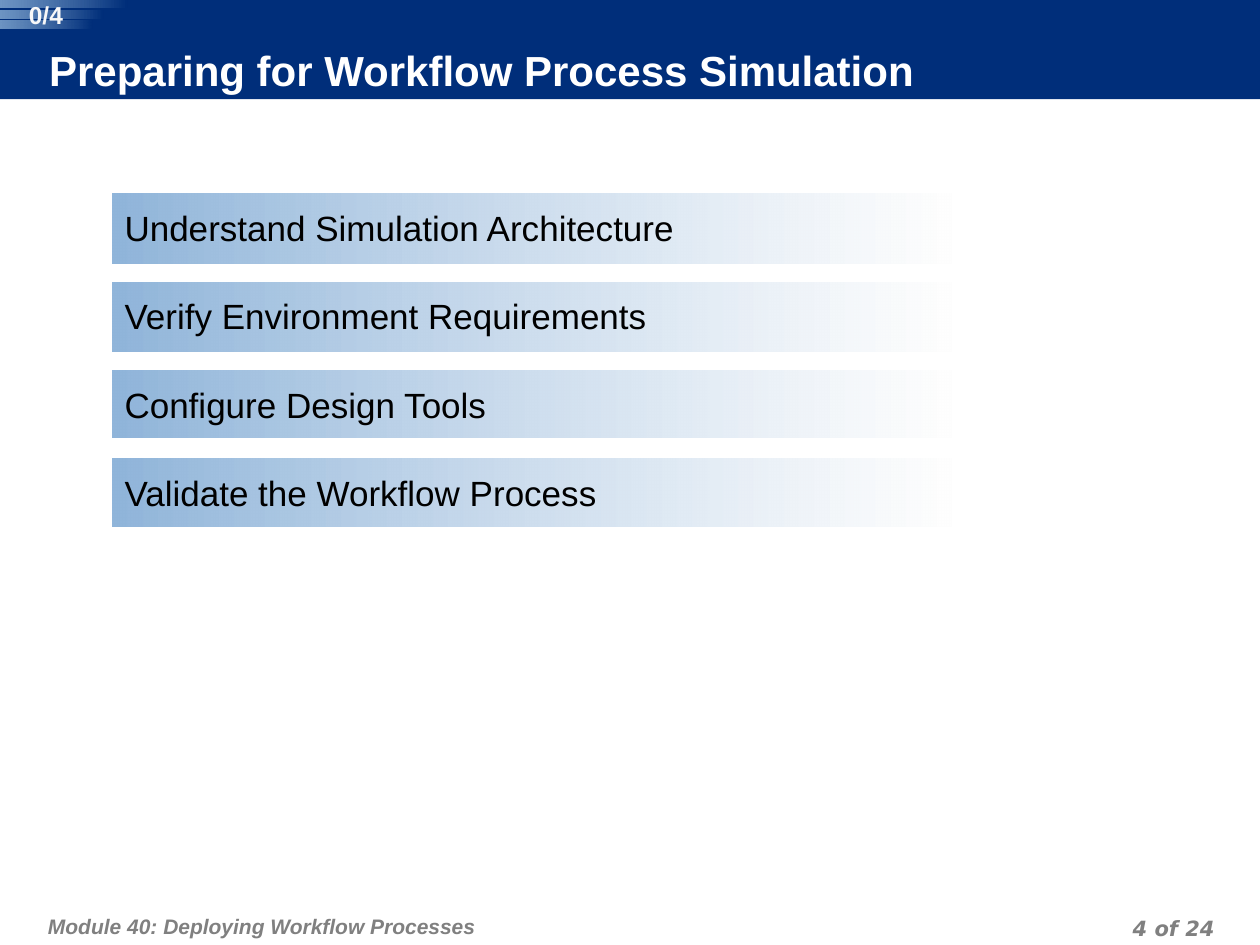
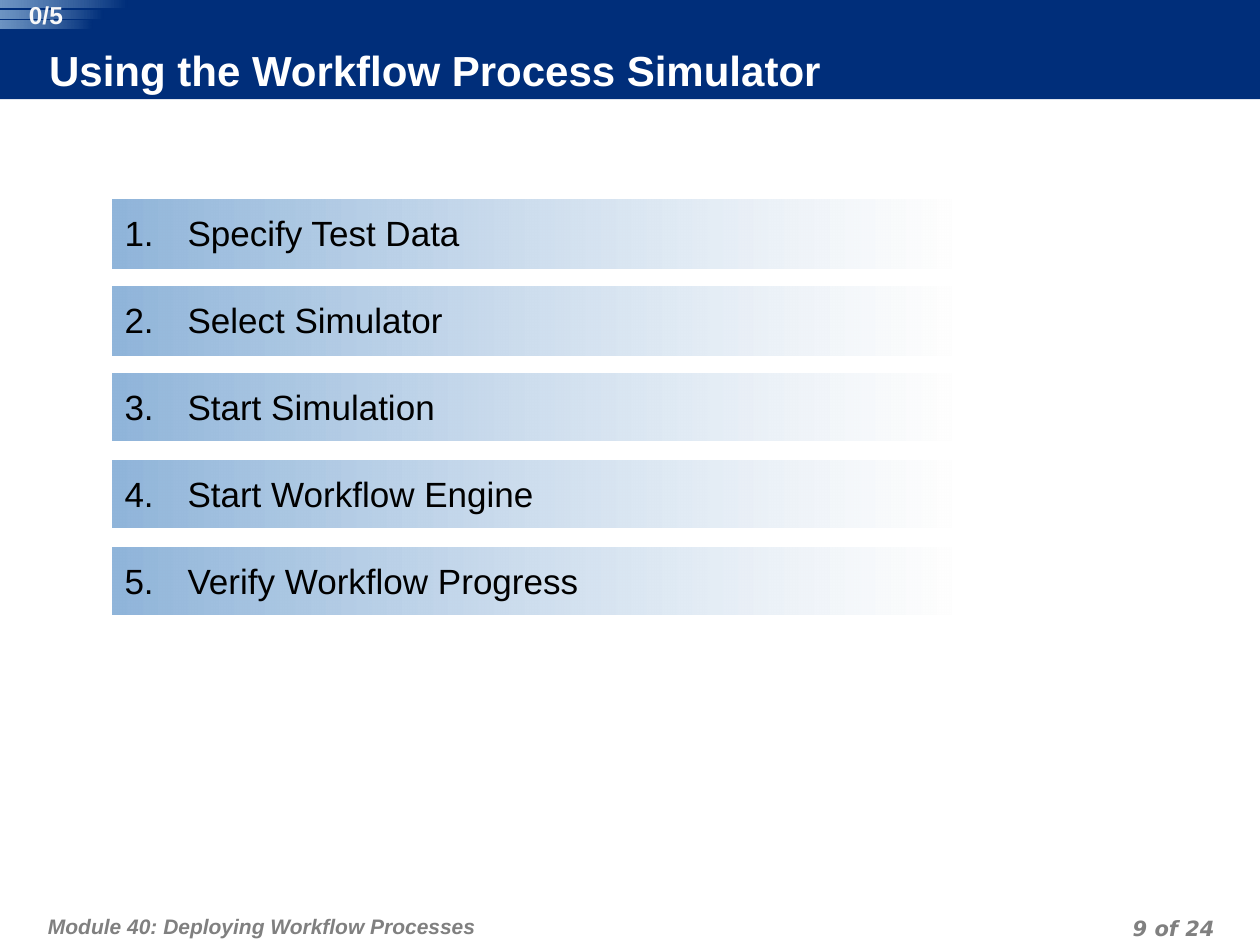
from lxml import etree
from pptx import Presentation
from pptx.dml.color import RGBColor
from pptx.enum.shapes import MSO_SHAPE
from pptx.enum.text import MSO_ANCHOR, PP_ALIGN
from pptx.oxml.ns import qn
from pptx.util import Pt

RECTANGLE = MSO_SHAPE.RECTANGLE
TOP, MIDDLE = MSO_ANCHOR.TOP, MSO_ANCHOR.MIDDLE
LEFT, CENTER, RIGHT = PP_ALIGN.LEFT, PP_ALIGN.CENTER, PP_ALIGN.RIGHT

NAVY = RGBColor(0x00, 0x2E, 0x7A)
SKY = RGBColor(0x90, 0xB5, 0xDA)
PALE = RGBColor(0xFE, 0xFE, 0xFE)
WHITE = RGBColor(0xFF, 0xFF, 0xFF)
OFF_WHITE = RGBColor(0xF8, 0xF8, 0xF8)
GRAY = RGBColor(0x80, 0x80, 0x80)
BLACK = RGBColor(0x00, 0x00, 0x00)

MODULE = "Module 40: Deploying Workflow Processes"
PAGE_COUNT = 24
STRIPES = [(0, 72.7, 4.5), (5.8, 59, 4.5), (11.5, 52.6, 5)]  # top, width, height


class Deck:
    """Holds the shared style and the current slide."""

    font = "Arial"
    number_font = "DejaVu Sans"

    def __init__(self):
        self.presentation = Presentation()
        self.presentation.slide_width = Pt(720)
        self.presentation.slide_height = Pt(540)
        self.slide = None

    def box(self, left, top, width, height, container=None):
        """Add a plain rectangle without line or shadow."""
        shapes = (container or self.slide).shapes
        shape = shapes.add_shape(RECTANGLE, Pt(left), Pt(top), Pt(width), Pt(height))
        shape.line.fill.background()
        shape.shadow.inherit = False
        return shape

    def solid(self, shape, color):
        shape.fill.solid()
        shape.fill.fore_color.rgb = color

    def gradient(self, shape, stops):
        """Fade from right to left; each stop is a colour and its opacity in percent."""
        shape.fill.gradient()
        shape.fill.gradient_angle = 180
        for stop, (color, _) in zip(shape.fill.gradient_stops, stops):
            stop.color.rgb = color
        colors = shape.element.spPr.iter(qn("a:srgbClr"))
        for element, (_, opacity) in zip(list(colors), stops):
            if opacity < 100:
                etree.SubElement(element, qn("a:alpha"), val=str(opacity * 1000))

    def set_text(self, shape, text, size, color, insets, align=LEFT, anchor=TOP,
                 bold=False, italic=False, font=None, spacing=None):
        """Put one formatted paragraph into a shape and return the paragraph."""
        frame = shape.text_frame
        frame.text = text
        frame.word_wrap = True
        frame.vertical_anchor = anchor
        (frame.margin_left, frame.margin_top,
         frame.margin_right, frame.margin_bottom) = map(Pt, insets)
        paragraph = frame.paragraphs[0]
        paragraph.alignment = align
        if spacing:
            paragraph.line_spacing = Pt(spacing)
        for run in paragraph.runs:
            run.font.name = font or self.font
            run.font.size = Pt(size)
            run.font.bold = bold
            run.font.italic = italic
            run.font.color.rgb = color
        return paragraph

    def label(self, left, top, width, height, text, size, color, insets,
              container=None, **style):
        shapes = (container or self.slide).shapes
        box = shapes.add_textbox(Pt(left), Pt(top), Pt(width), Pt(height))
        self.set_text(box, text, size, color, insets, **style)

    def number(self, paragraph, start):
        """Give a paragraph an automatic number with a hanging indent."""
        properties = paragraph._p.get_or_add_pPr()
        properties.set("marL", str(Pt(36)))
        properties.set("indent", str(-Pt(36)))
        bullet_color = etree.SubElement(properties, qn("a:buClr"))
        etree.SubElement(bullet_color, qn("a:srgbClr"), val=str(BLACK))
        etree.SubElement(properties, qn("a:buAutoNum"),
                         type="arabicPeriod", startAt=str(start))

    def start_slide(self, title, page):
        """Add a slide with its title band and footers."""
        self.slide = self.presentation.slides.add_slide(
            self.presentation.slide_layouts[6])
        self.solid(self.box(0, 0, 720, 56.7), NAVY)
        footer = {"bold": True, "italic": True, "spacing": 18}
        self.label(23.8, 511.2, 445, 28.8, MODULE, 12, GRAY,
                   (3.6, 7.2, 3.6, 3.6), **footer)
        self.label(529.9, 519.8, 167.8, 18, f"{page} of {PAGE_COUNT}", 12, GRAY,
                   (3.6, 0, 3.6, 0), align=RIGHT, font=self.number_font, **footer)
        heading = self.box(28.1, 27.4, 660.2, 28.8)
        self.solid(heading, NAVY)
        self.set_text(heading, title, 24, WHITE, (0, 0, 3.6, 3.6),
                      anchor=MIDDLE, bold=True)

    def steps(self, items, top, pitch, numbered):
        """Stack one fading bar per step."""
        for index, item in enumerate(items):
            bar = self.box(64.1, top + index * pitch, 479.5, 39.6 if index < 2 else 38.4)
            self.gradient(bar, [(PALE, 75), (SKY, 100)])
            paragraph = self.set_text(bar, item, 20, BLACK, (7.2, 7.2, 7.2, 3.6))
            if numbered:
                self.number(paragraph, index + 1)

    def progress(self, text):
        """Add the striped step counter in the top left corner."""
        group = self.slide.shapes.add_group_shape()
        for top, width, height in STRIPES:
            stripe = self.box(0, top, width, height, group)
            self.gradient(stripe, [(NAVY, 100), (SKY, 76)])
        self.label(7.9, 0, 36.7, 16.8, text, 14, OFF_WHITE, (0, 0, 0, 0),
                   container=group, align=CENTER, bold=True)


def main():
    deck = Deck()

    # Preparation steps
    preparation = ["Understand Simulation Architecture",
                   "Verify Environment Requirements",
                   "Configure Design Tools",
                   "Validate the Workflow Process"]
    deck.start_slide("Preparing for Workflow Process Simulation", 4)
    deck.steps(preparation, top=110.8, pitch=50.5, numbered=False)
    deck.progress(f"0/{len(preparation)}")

    # Simulator steps
    simulation = ["Specify Test Data",
                  "Select Simulator",
                  "Start Simulation",
                  "Start Workflow Engine",
                  "Verify Workflow Progress"]
    deck.start_slide("Using the Workflow Process Simulator", 9)
    deck.steps(simulation, top=113.8, pitch=49.7, numbered=True)
    deck.progress(f"0/{len(simulation)}")

    deck.presentation.save("out.pptx")


if __name__ == "__main__":
    main()
